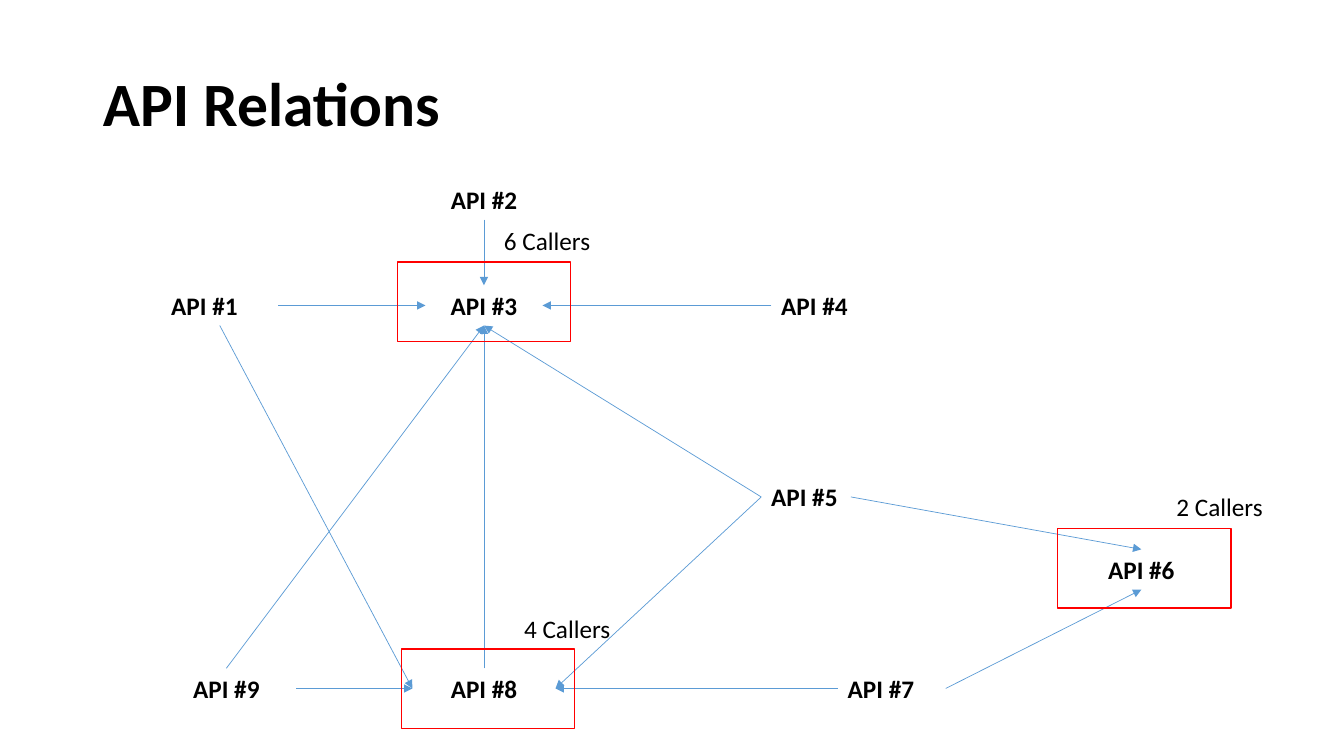
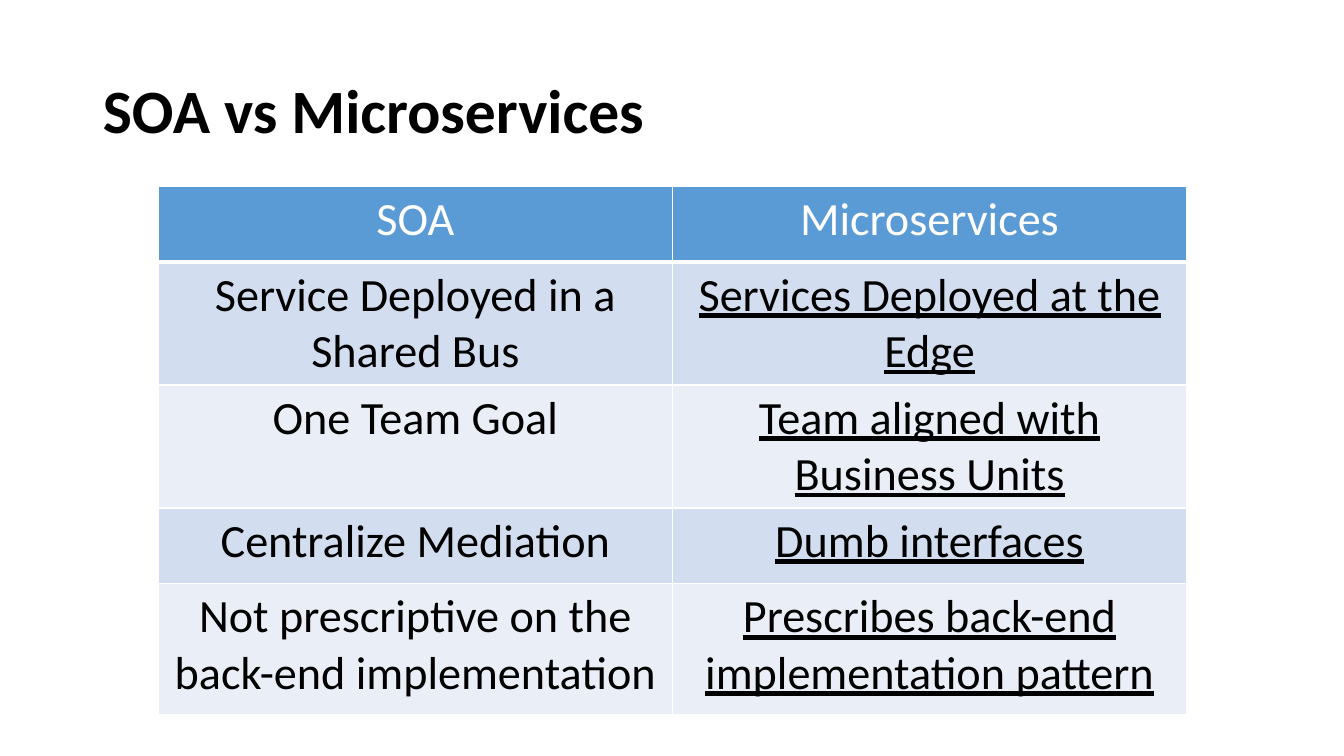
"""Build a two-slide deck on API relations and on SOA versus microservices."""
from dataclasses import dataclass

from lxml import etree
from pptx import Presentation
from pptx.dml.color import RGBColor
from pptx.enum.shapes import MSO_CONNECTOR, MSO_SHAPE
from pptx.enum.text import MSO_ANCHOR, MSO_AUTO_SIZE, PP_ALIGN
from pptx.oxml.ns import qn
from pptx.util import Inches, Pt

LEFT, CENTER = PP_ALIGN.LEFT, PP_ALIGN.CENTER
MIDDLE = MSO_ANCHOR.MIDDLE
FIXED, GROW = MSO_AUTO_SIZE.NONE, MSO_AUTO_SIZE.SHAPE_TO_FIT_TEXT
STRAIGHT, RECTANGLE = MSO_CONNECTOR.STRAIGHT, MSO_SHAPE.RECTANGLE

FONT = "Calibri"
COLORS = {
    "text": "000000",
    "white": "FFFFFF",
    "accent": "5B9BD5",
    "highlight": "FF0000",
    "band_dark": "D2DEEF",
    "band_light": "EAEFF7",
}
TITLE_ONLY = 5
LABEL_HEIGHT = 0.4
FRAME_SIZE = (1.72, 0.79)
TOP_SIDE, LEFT_SIDE, BOTTOM_SIDE, RIGHT_SIDE = range(4)


@dataclass(frozen=True)
class Label:
    text: str
    left: float
    top: float
    width: float
    align: PP_ALIGN = LEFT


@dataclass(frozen=True)
class Call:
    caller: int
    caller_side: int
    target: int
    target_side: int


APIS = {
    1: Label("API #1", 1.6, 2.83, 1.16),
    2: Label("API #2", 3.94, 1.78, 1.72, CENTER),
    3: Label("API #3", 4.22, 2.83, 1.16, CENTER),
    4: Label("API #4", 7.65, 2.83, 1.2),
    5: Label("API #5", 7.55, 4.73, 0.89),
    6: Label("API #6", 10.48, 5.45, 1.68, CENTER),
    7: Label("API #7", 8.31, 6.63, 1.07),
    8: Label("API #8", 4.09, 6.63, 1.42, CENTER),
    9: Label("API #9", 1.55, 6.63, 1.39, CENTER),
}
CALLS = [
    Call(4, LEFT_SIDE, 3, RIGHT_SIDE),
    Call(1, RIGHT_SIDE, 3, LEFT_SIDE),
    Call(1, BOTTOM_SIDE, 8, LEFT_SIDE),
    Call(8, TOP_SIDE, 3, BOTTOM_SIDE),
    Call(5, LEFT_SIDE, 3, BOTTOM_SIDE),
    Call(5, LEFT_SIDE, 8, RIGHT_SIDE),
    Call(2, BOTTOM_SIDE, 3, TOP_SIDE),
    Call(7, LEFT_SIDE, 8, RIGHT_SIDE),
    Call(5, RIGHT_SIDE, 6, TOP_SIDE),
    Call(7, RIGHT_SIDE, 6, BOTTOM_SIDE),
    Call(9, RIGHT_SIDE, 8, LEFT_SIDE),
    Call(9, TOP_SIDE, 3, BOTTOM_SIDE),
]
FRAMES = [(3.94, 2.6), (3.98, 6.44), (10.49, 5.24)]
CALLER_COUNTS = [
    Label("6 Callers", 4.9, 2.19, 1.27),
    Label("4 Callers", 5.1, 6.04, 1.1),
    Label("2 Callers", 11.57, 4.83, 1.18),
]

COMPARISON = [
    ("SOA", "Microservices"),
    ("Service Deployed in a Shared Bus", "Services Deployed at the Edge"),
    ("One Team Goal", "Team aligned with Business Units"),
    ("Centralize Mediation", "Dumb interfaces"),
    ("Not prescriptive on the back-end implementation",
     "Prescribes back-end implementation pattern"),
]
ROW_HEIGHTS = [0.75, 1.22, 1.22, 0.75, 1.3]
COLUMN_WIDTH = 5.1


def color(name: str) -> RGBColor:
    return RGBColor.from_string(COLORS[name])


def write_text(frame, text: str, *, size: float, bold: bool = False,
               underline: bool = False, fill: str = "text",
               align: PP_ALIGN = LEFT, spacing: float = 1.0) -> None:
    paragraph = frame.paragraphs[0]
    paragraph.alignment = align
    paragraph.line_spacing = spacing
    span = paragraph.add_run()
    span.text = text
    span.font.name = FONT
    span.font.size = Pt(size)
    span.font.bold = bold
    span.font.underline = underline
    span.font.color.rgb = color(fill)


def add_page(deck, title: str, top: float):
    page = deck.slides.add_slide(deck.slide_layouts[TITLE_ONLY])
    box = page.shapes.title
    box.left, box.top = Inches(0.92), Inches(top)
    box.width, box.height = Inches(11.5), Inches(1.45)
    frame = box.text_frame
    frame.auto_size = FIXED
    frame.vertical_anchor = MIDDLE
    write_text(frame, title, size=44, bold=True, spacing=0.9)
    return page


def add_label(page, label: Label, *, bold: bool):
    box = page.shapes.add_textbox(Inches(label.left), Inches(label.top),
                                  Inches(label.width), Inches(LABEL_HEIGHT))
    box.text_frame.word_wrap = True
    box.text_frame.auto_size = GROW
    write_text(box.text_frame, label.text, size=18, bold=bold, align=label.align)
    return box


def add_arrow(page, call: Call, boxes: dict) -> None:
    arrow = page.shapes.add_connector(STRAIGHT, 0, 0, 0, 0)
    arrow.begin_connect(boxes[call.caller], call.caller_side)
    arrow.end_connect(boxes[call.target], call.target_side)
    arrow.line.color.rgb = color("accent")
    arrow.line.width = Pt(0.5)
    etree.SubElement(arrow.line._get_or_add_ln(), qn("a:tailEnd"), type="triangle")
    etree.SubElement(arrow._element.spPr, qn("a:effectLst"))


def add_frame(page, left: float, top: float) -> None:
    width, height = FRAME_SIZE
    frame = page.shapes.add_shape(RECTANGLE, Inches(left), Inches(top),
                                  Inches(width), Inches(height))
    frame.shadow.inherit = False
    frame.fill.background()
    frame.line.color.rgb = color("highlight")
    frame.line.width = Pt(1)


def set_borders(cell, bottom: float) -> None:
    properties = cell._tc.get_or_add_tcPr()
    widths = {"a:lnL": 1, "a:lnR": 1, "a:lnT": 1, "a:lnB": bottom}
    for position, (tag, width) in enumerate(widths.items()):
        line = etree.Element(qn(tag), w=str(Pt(width)))
        fill = etree.SubElement(line, qn("a:solidFill"))
        etree.SubElement(fill, qn("a:srgbClr"), val=COLORS["white"])
        properties.insert(position, line)


def build_relations(deck) -> None:
    page = add_page(deck, "API Relations", 0.33)
    boxes = {number: add_label(page, label, bold=True)
             for number, label in APIS.items()}
    for call in CALLS:
        add_arrow(page, call, boxes)
    for left, top in FRAMES:
        add_frame(page, left, top)
    for label in CALLER_COUNTS:
        add_label(page, label, bold=False)


def build_comparison(deck) -> None:
    page = add_page(deck, "SOA vs Microservices", 0.4)
    columns = len(COMPARISON[0])
    table = page.shapes.add_table(
        len(COMPARISON), columns, Inches(1.57), Inches(1.85),
        Inches(COLUMN_WIDTH * columns), Inches(sum(ROW_HEIGHTS))).table
    for column in table.columns:
        column.width = Inches(COLUMN_WIDTH)
    for row, texts in enumerate(COMPARISON):
        table.rows[row].height = Inches(ROW_HEIGHTS[row])
        header = row == 0
        band = "accent" if header else ("band_light", "band_dark")[row % 2]
        for column, text in enumerate(texts):
            cell = table.cell(row, column)
            cell.fill.solid()
            cell.fill.fore_color.rgb = color(band)
            set_borders(cell, bottom=3 if header else 1)
            write_text(cell.text_frame, text, size=33, align=CENTER,
                       fill="white" if header else "text",
                       underline=column == 1 and not header)


def main() -> None:
    deck = Presentation()
    deck.slide_width, deck.slide_height = Inches(13.33), Inches(7.5)
    build_relations(deck)
    build_comparison(deck)
    deck.save("out.pptx")


if __name__ == "__main__":
    main()
